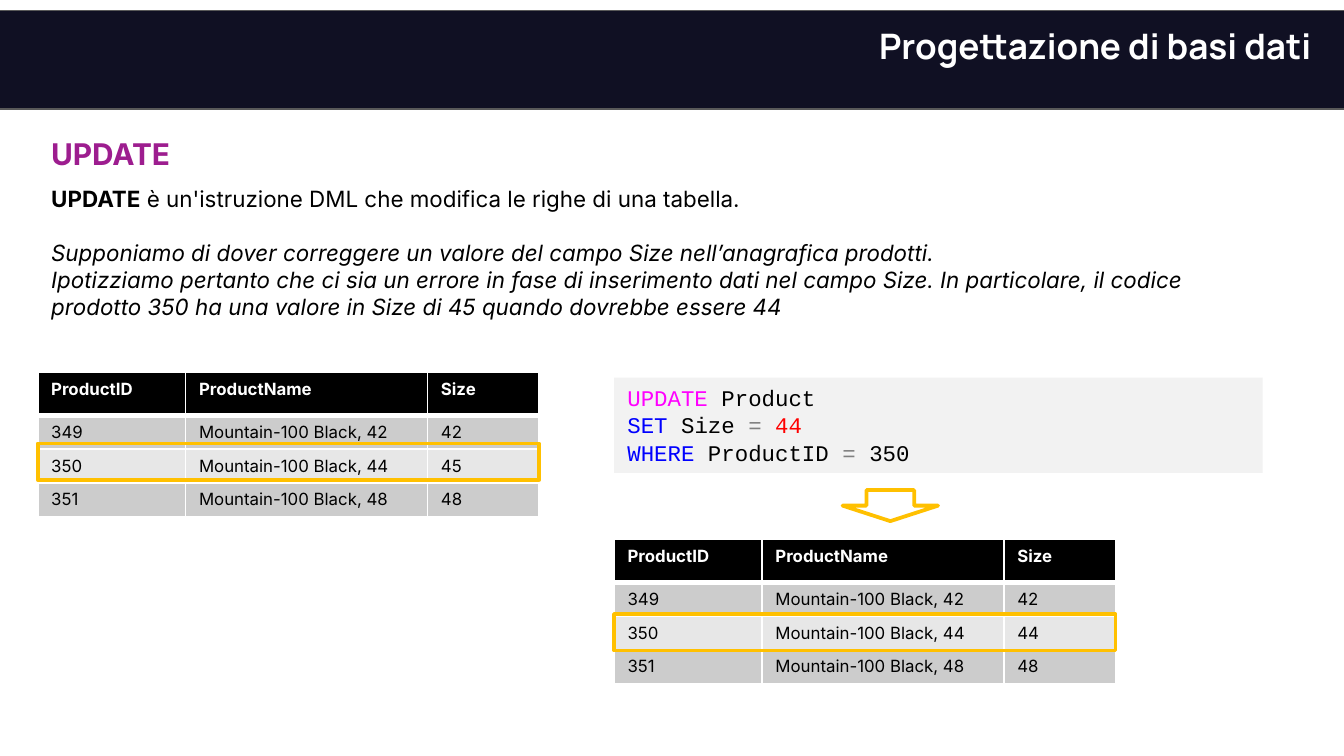
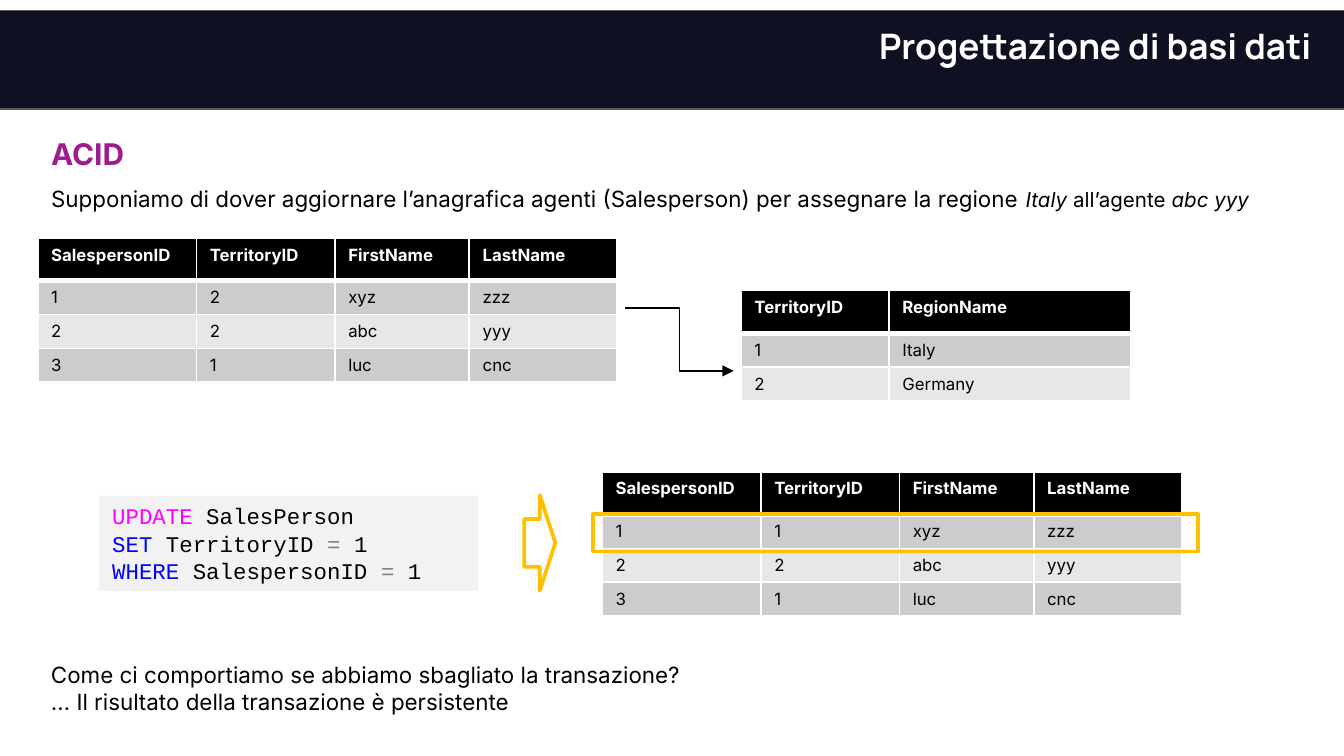
import lxml.etree
import pptx
import pptx.dml.color
import pptx.enum.shapes
import pptx.enum.text
import pptx.oxml.ns
import pptx.util

Pt = pptx.util.Pt
qn = pptx.oxml.ns.qn
SHAPE = pptx.enum.shapes.MSO_SHAPE
ALIGN = pptx.enum.text.PP_ALIGN
ANCHOR = pptx.enum.text.MSO_ANCHOR

BLACK, WHITE = "000000", "FFFFFF"
NAVY, BAND_EDGE, PURPLE, AMBER = "101023", "595959", "9D1D8F", "FFC000"
CODE_FILL, ROW_FILLS = "F2F2F2", ("CCCCCC", "E7E7E7")
TOKEN_COLORS = {"UPDATE": "FF00FF", "SET": "0000FF", "WHERE": "0000FF",
                "=": "808080", "44": "FF0000"}
BODY_FONT, CODE_FONT, DECK_FONT = "Inter", "Courier New", "Manrope"

LEFT, WIDTH = 20.2, 666
LINE_PITCH = 14.5
HEADER_HEIGHT, ROW_HEIGHT = 23, 17.5
PRODUCT_COLUMNS = (79.2, 129.6, 59.8)
AGENT_COLUMNS = (85, 74.2, 72, 79.2)
REGION_COLUMNS = PRODUCT_COLUMNS[:2]


def rgb(color):
    return pptx.dml.color.RGBColor.from_string(color)


def points(box):
    return [Pt(v) for v in box]


def place(sp, box):
    sp.left, sp.top, sp.width, sp.height = points(box)


def style(font, name=BODY_FONT, size=12, color=BLACK, bold=False, italic=False):
    font.name, font.size = name, Pt(size)
    font.bold, font.italic = bold, italic
    font.color.rgb = rgb(color)


def add_runs(p, runs):
    """Fill a paragraph from (text, style options) pairs."""
    for text, options in runs:
        r = p.add_run()
        r.text = text
        style(r.font, **options)


def add_paragraphs(tf, paragraphs):
    tf.word_wrap = True
    for i, runs in enumerate(paragraphs):
        p = tf.add_paragraph() if i else tf.paragraphs[0]
        add_runs(p, runs)


def add_shape(s, kind, box, fill=None, line=None, line_width=2):
    sp = s.shapes.add_shape(kind, *points(box))
    sp.shadow.inherit = False
    if fill:
        sp.fill.solid()
        sp.fill.fore_color.rgb = rgb(fill)
    else:
        sp.fill.background()
    if line:
        sp.line.color.rgb = rgb(line)
        sp.line.width = Pt(line_width)
    else:
        sp.line.fill.background()
    return sp


def add_master_band(prs, s):
    """Draw the dark band and hand it to the slide master."""
    band = add_shape(s, SHAPE.RECTANGLE, (-0.5, 5.75, 720.75, 52.75),
                     NAVY, BAND_EDGE, 0.75)
    prs.slide_master.shapes.element.insert(2, band.element)


def add_deck_title(s):
    tf = s.shapes.add_textbox(*points((329, 5.75, 381, 25.2))).text_frame
    tf.margin_top = tf.margin_bottom = Pt(7.2)
    add_paragraphs(tf, [[("Progettazione di basi dati",
                          dict(name=DECK_FONT, size=18.8, color=WHITE, bold=True))]])
    tf.paragraphs[0].alignment = ALIGN.RIGHT


def fill_heading(s, text):
    title = s.shapes.title
    place(title, (LEFT, 66.2, WIDTH, 29.5))
    tf = title.text_frame
    tf.auto_size = pptx.enum.text.MSO_AUTO_SIZE.NONE
    tf.vertical_anchor = ANCHOR.MIDDLE
    tf.text = text
    p = tf.paragraphs[0]
    p.alignment, p.line_spacing = ALIGN.JUSTIFY, 1.15
    style(p.runs[0].font, size=16, color=PURPLE, bold=True)


def fill_body(s, height, paragraphs):
    body = s.placeholders[1]
    place(body, (LEFT, 95.8, WIDTH, height))
    tf = body.text_frame
    tf.auto_size = pptx.enum.text.MSO_AUTO_SIZE.NONE
    add_paragraphs(tf, paragraphs)
    for p in tf.paragraphs:
        pPr = p._p.get_or_add_pPr()
        pPr.set("marL", "0")
        pPr.set("indent", "0")
        lxml.etree.SubElement(pPr, qn("a:buNone"))
        p.space_before = Pt(0)
    return tf


def add_slide(prs, heading):
    s = prs.slides.add_slide(prs.slide_layouts[1])
    add_deck_title(s)
    fill_heading(s, heading)
    return s


def set_header_borders(cell):
    tcPr = cell._tc.get_or_add_tcPr()
    for i, (side, width) in enumerate((("L", 1), ("R", 1), ("T", 1), ("B", 3))):
        ln = lxml.etree.Element(qn("a:ln" + side), w=str(Pt(width)))
        fill = lxml.etree.SubElement(ln, qn("a:solidFill"))
        lxml.etree.SubElement(fill, qn("a:srgbClr"), val=WHITE)
        tcPr.insert(i, ln)


def add_data_table(s, x, y, columns, rows, top_rows=()):
    """Black header and banded rows; rows in top_rows keep their text at the top."""
    height = HEADER_HEIGHT + ROW_HEIGHT * (len(rows) - 1)
    frame = s.shapes.add_table(len(rows), len(columns),
                               *points((x, y, sum(columns), height)))
    table = frame.table
    for column, width in zip(table.columns, columns):
        column.width = Pt(width)
    for i, values in enumerate(rows):
        header = i == 0
        table.rows[i].height = Pt(HEADER_HEIGHT if header else ROW_HEIGHT)
        for j, value in enumerate(values):
            cell = table.cell(i, j)
            cell.text = value
            style(cell.text_frame.paragraphs[0].runs[0].font, size=9,
                  color=WHITE if header else BLACK, bold=header)
            cell.fill.solid()
            cell.fill.fore_color.rgb = rgb(BLACK if header else ROW_FILLS[(i - 1) % 2])
            if header:
                set_header_borders(cell)
            elif i not in top_rows:
                cell.vertical_anchor = ANCHOR.MIDDLE


def add_code(s, box, lines):
    sp = add_shape(s, SHAPE.RECTANGLE, box, CODE_FILL)
    tf = sp.text_frame
    tf.vertical_anchor = ANCHOR.TOP
    add_paragraphs(tf, [
        [(" " * (i > 0) + token,
          dict(name=CODE_FONT, color=TOKEN_COLORS.get(token, BLACK)))
         for i, token in enumerate(line.split())]
        for line in lines])
    for p in tf.paragraphs:
        p.alignment, p.line_spacing = ALIGN.LEFT, Pt(LINE_PITCH)


def add_highlight(s, box):
    add_shape(s, SHAPE.RECTANGLE, box, line=AMBER)


def add_block_arrow(s, x, y, rotation=0):
    sp = add_shape(s, SHAPE.DOWN_ARROW, (x, y, 51.2, 16.6), line=AMBER)
    sp.rotation = rotation


def add_elbow_arrow(s, start, end):
    line = s.shapes.add_connector(pptx.enum.shapes.MSO_CONNECTOR.ELBOW,
                                  *points(start + end))
    line.line.color.rgb = rgb(BLACK)
    line.line.width = Pt(0.75)
    spPr = line.element.spPr
    lxml.etree.SubElement(spPr.find(qn("a:ln")), qn("a:tailEnd"), type="triangle")
    lxml.etree.SubElement(spPr, qn("a:effectLst"))


def product_rows(size):
    """Products, with the given size stored for number 350."""
    return [("ProductID", "ProductName", "Size"),
            ("349", "Mountain-100 Black, 42", "42"),
            ("350", "Mountain-100 Black, 44", size),
            ("351", "Mountain-100 Black, 48", "48")]


def agent_rows(territory):
    """Agents, with the given territory stored for the first one."""
    return [("SalespersonID", "TerritoryID", "FirstName", "LastName"),
            ("1", territory, "xyz", "zzz"),
            ("2", "2", "abc", "yyy"),
            ("3", "1", "luc", "cnc")]


def build_update_slide(s):
    italic = dict(italic=True)
    tf = fill_body(s, 80, [
        [("UPDATE", dict(bold=True)),
         (" è un'istruzione DML che modifica le righe di una tabella.", {})],
        [("Supponiamo di dover correggere un valore del campo Size "
          "nell’anagrafica prodotti.", italic)],
        [("Ipotizziamo pertanto che ci sia un errore in fase di inserimento dati "
          "nel campo Size. In particolare, il codice prodotto 350 ha una valore in "
          "Size di 45 quando dovrebbe essere 44", italic)]])
    tf.paragraphs[1].space_before = Pt(LINE_PITCH)
    result_left = 329
    table_width = sum(PRODUCT_COLUMNS)
    for x, y, size, frame_top in ((LEFT, 199.5, "45", 237.6),
                                  (result_left, 289, "44", 329)):
        add_data_table(s, x, y, PRODUCT_COLUMNS, product_rows(size), top_rows=(2, 3))
        add_highlight(s, (x, frame_top, table_width, 19.5))
    add_code(s, (result_left, 202.3, 347.5, 51),
             ["UPDATE Product", "SET Size = 44", "WHERE ProductID = 350"])
    add_block_arrow(s, 451.4, 262.6)


def build_acid_slide(s):
    small, small_italic = dict(size=11), dict(size=11, italic=True)
    fill_body(s, 21.8, [
        [("Supponiamo di dover aggiornare l’anagrafica agenti (Salesperson) "
          "per assegnare la regione ", {}),
         ("Italy", small_italic), (" all’agente ", small), ("abc yyy", small_italic)]])
    add_data_table(s, LEFT, 127.5, AGENT_COLUMNS, agent_rows("2"))
    add_data_table(s, 397, 155.6, REGION_COLUMNS,
                   [("TerritoryID", "RegionName"), ("1", "Italy"), ("2", "Germany")],
                   top_rows=(2,))
    add_elbow_arrow(s, (334.8, 165), (393, 198.7))
    add_code(s, (53, 265.6, 203, 51),
             ["UPDATE SalesPerson", "SET TerritoryID = 1", "WHERE SalespersonID = 1"])
    add_block_arrow(s, 263.6, 282.5, rotation=270)
    add_data_table(s, 322.6, 252.8, AGENT_COLUMNS, agent_rows("1"))
    add_highlight(s, (317.8, 275.5, 324, 20))
    closing = s.shapes.add_textbox(*points((LEFT, 350.6, WIDTH, 36)))
    add_paragraphs(closing.text_frame, [
        [("Come ci comportiamo se abbiamo sbagliato la transazione?", {})],
        [("… Il risultato della transazione è persistente", {})]])


def main():
    prs = pptx.Presentation()
    prs.slide_width, prs.slide_height = Pt(720), Pt(405)
    update = add_slide(prs, "UPDATE")
    add_master_band(prs, update)
    build_update_slide(update)
    build_acid_slide(add_slide(prs, "ACID"))
    prs.save("out.pptx")


if __name__ == "__main__":
    main()
